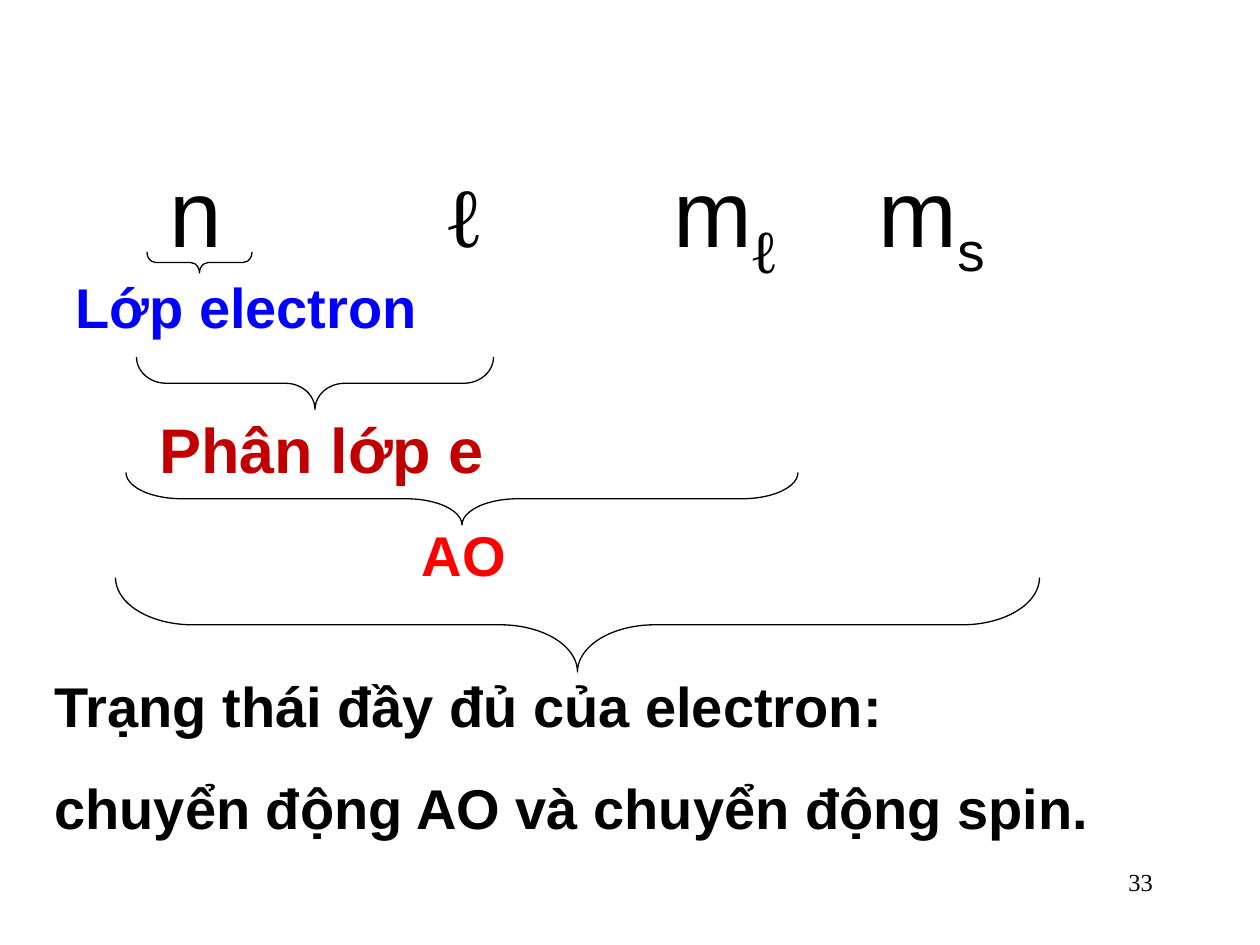
from lxml import etree
from pptx import Presentation
from pptx.dml.color import RGBColor
from pptx.enum.shapes import MSO_SHAPE
from pptx.enum.text import MSO_AUTO_SIZE, PP_ALIGN
from pptx.oxml.ns import qn
from pptx.util import Pt

BRACE = MSO_SHAPE.LEFT_BRACE
RIGHT = PP_ALIGN.RIGHT
NO_FIT = MSO_AUTO_SIZE.NONE
COLORS = {"black": "000000", "blue": "0000FF", "crimson": "C00000", "red": "FF0000"}
SANS, SERIF = "Arial", "Times New Roman"


def add_box(s, x, y, w, h):
    tf = s.shapes.add_textbox(Pt(x), Pt(y), Pt(w), Pt(h)).text_frame
    tf.word_wrap = True
    tf.auto_size = NO_FIT
    return tf


def add_run(p, text, size, color="black", baseline=None, **fmt):
    """Baseline is a percentage; a negative one makes a subscript."""
    r = p.add_run()
    r.text = text
    r.font.size = Pt(size)
    r.font.color.rgb = RGBColor.from_string(COLORS[color])
    for name, value in fmt.items():
        setattr(r.font, name, value)
    if baseline:
        r.font._element.set("baseline", str(baseline * 1000))


prs = Presentation()
prs.slide_width, prs.slide_height = Pt(720), Pt(540)
s = prs.slides.add_slide(prs.slide_layouts[6])

# Slide number
p = add_box(s, 516, 492, 150, 36).paragraphs[0]
p.alignment = RIGHT
add_run(p, "33", 14, name=SERIF)

# Quantum numbers, each one at its own tab stop
p = add_box(s, 90, 78, 630, 89).paragraphs[0]
tabs = etree.SubElement(p._p.get_or_add_pPr(), qn("a:tabLst"))
for stop in (159, 288, 405):
    etree.SubElement(tabs, qn("a:tab"), pos=str(Pt(stop)), algn="l")
add_run(p, "n\t", 54, name=SANS)
add_run(p, "ℓ", 48, name=SERIF, bold=True)
add_run(p, "\tm", 54, name=SANS)
add_run(p, "ℓ", 60, baseline=-25, name=SERIF, bold=True)
add_run(p, "\tm", 54, name=SANS)
add_run(p, "s", 54, baseline=-25, name=SANS)

# What each group of quantum numbers describes
labels = [
    (36, 152, 258, 46, 32, "blue", ["Lớp electron"]),
    (84, 231, 258, 50, 36, "crimson", ["Phân lớp e"]),
    (234, 294, 78, 46, 32, "red", ["AO"]),
    (24, 380, 672, 104, 32, "black",
     ["Trạng thái đầy đủ của electron:", "chuyển động AO và chuyển động spin."]),
]
for x, y, w, h, size, color, lines in labels:
    tf = add_box(s, x, y, w, h)
    for i, line in enumerate(lines):
        p = tf.add_paragraph() if i else tf.paragraphs[0]
        p.space_before = Pt(20 if i else 0)
        add_run(p, line, size, color, name=SANS, bold=True)

# Braces pointing down: left, top, span and depth as seen after the turn
for x, y, span, depth in [(84, 144, 60, 12), (78, 204, 204, 30),
                          (72, 270, 384, 30), (66, 330, 528, 54)]:
    sp = s.shapes.add_shape(BRACE, Pt(x + (span - depth) / 2),
                            Pt(y + (depth - span) / 2), Pt(depth), Pt(span))
    sp.rotation = 270
    sp.adjustments[0] = span / 12 / depth
    sp.shadow.inherit = False
    sp.fill.background()
    sp.line.color.rgb = RGBColor.from_string(COLORS["black"])
    sp.line.width = Pt(0.75)

prs.save("out.pptx")
